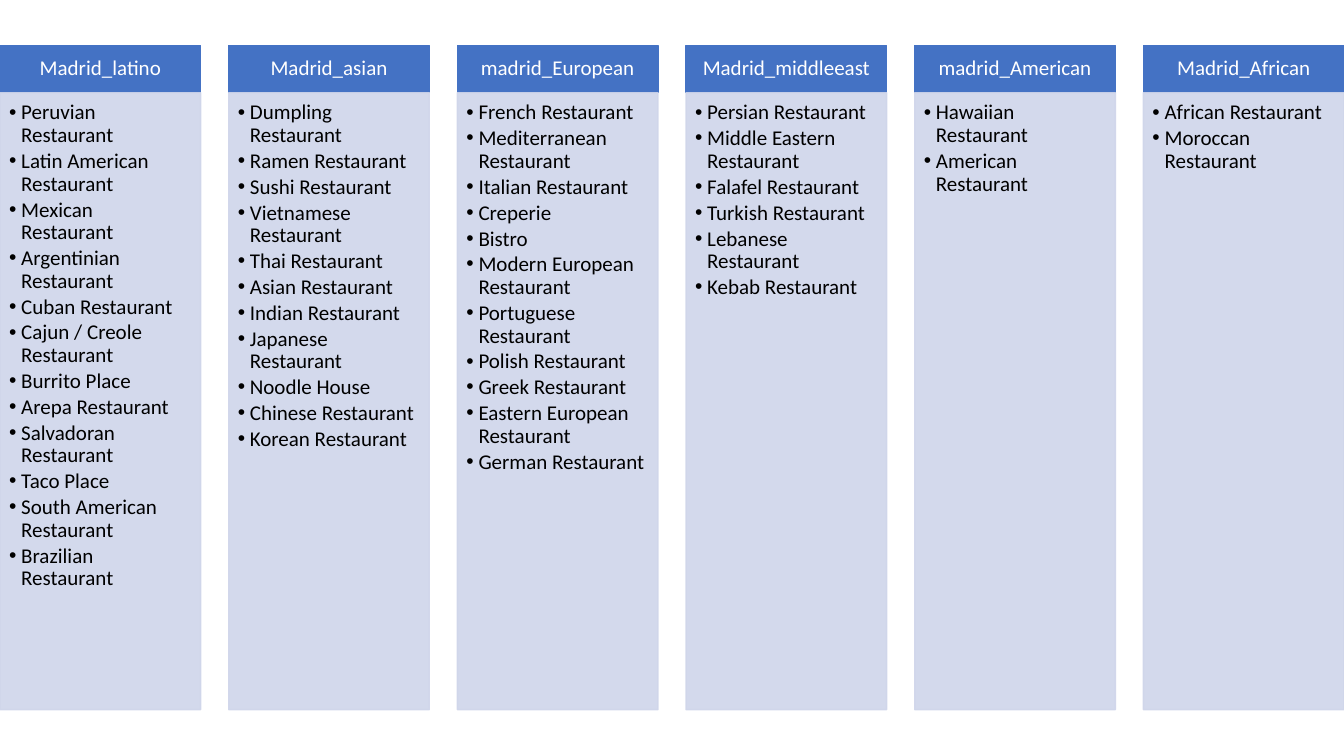
from dataclasses import dataclass

from lxml.etree import SubElement as Sub
from pptx import Presentation as Deck
from pptx.dml.color import RGBColor as Rgb
from pptx.enum.shapes import MSO_SHAPE as Form
from pptx.enum.text import MSO_ANCHOR as Anchor, PP_ALIGN as Align
from pptx.oxml.ns import qn
from pptx.shapes.autoshape import Shape
from pptx.slide import Slide
from pptx.util import Inches, Pt


@dataclass(frozen=True)
class Theme:
    font: str = "Calibri"
    size: float = 15
    head: str = "4472C4"
    panel: str = "CFD5EA"
    light: str = "FFFFFF"
    dark: str = "000000"
    alpha: int = 90


@dataclass(frozen=True)
class Box:
    left: float
    top: float
    width: float
    height: float


@dataclass(frozen=True)
class Column:
    title: str
    items: tuple[str, ...]


THEME = Theme()
WIDTH, HEIGHT = 13.33, 7.5
TOP, WIDE, HEAD, BODY = 0.45, 1.99, 0.47, 6.12
DENT = 0.12

COLUMNS = (
    Column("Madrid_latino", (
        "Peruvian Restaurant", "Latin American Restaurant",
        "Mexican Restaurant", "Argentinian Restaurant",
        "Cuban Restaurant", "Cajun / Creole Restaurant",
        "Burrito Place", "Arepa Restaurant", "Salvadoran Restaurant",
        "Taco Place", "South American Restaurant", "Brazilian Restaurant")),
    Column("Madrid_asian", (
        "Dumpling Restaurant", "Ramen Restaurant", "Sushi Restaurant",
        "Vietnamese Restaurant", "Thai Restaurant", "Asian Restaurant",
        "Indian Restaurant", "Japanese Restaurant", "Noodle House",
        "Chinese Restaurant", "Korean Restaurant")),
    Column("madrid_European", (
        "French Restaurant", "Mediterranean Restaurant",
        "Italian Restaurant", "Creperie", "Bistro",
        "Modern European Restaurant", "Portuguese Restaurant",
        "Polish Restaurant", "Greek Restaurant",
        "Eastern European Restaurant", "German Restaurant")),
    Column("Madrid_middleeast", (
        "Persian Restaurant", "Middle Eastern Restaurant",
        "Falafel Restaurant", "Turkish Restaurant",
        "Lebanese Restaurant", "Kebab Restaurant")),
    Column("madrid_American", ("Hawaiian Restaurant", "American Restaurant")),
    Column("Madrid_African", ("African Restaurant", "Moroccan Restaurant")),
)


def add_box(slide: Slide, box: Box, fill: str,
            pads: tuple[float, float, float, float], anchor: Anchor) -> Shape:
    shape = slide.shapes.add_shape(
        Form.RECTANGLE, Inches(box.left), Inches(box.top),
        Inches(box.width), Inches(box.height))
    shape.shadow.inherit = False
    shape.fill.solid()
    shape.fill.fore_color.rgb = Rgb.from_string(fill)
    shape.line.color.rgb = Rgb.from_string(fill)
    shape.line.width = Pt(1)
    frame = shape.text_frame
    frame.word_wrap = True
    frame.vertical_anchor = anchor
    (frame.margin_left, frame.margin_top,
     frame.margin_right, frame.margin_bottom) = map(Inches, pads)
    return shape


def add_text(shape: Shape, lines: tuple[str, ...], ink: str,
             align: Align, after: float, listed: bool) -> None:
    frame = shape.text_frame
    for spot, line in enumerate(lines):
        para = frame.add_paragraph() if spot else frame.paragraphs[0]
        para.alignment = align
        para.line_spacing = 0.9
        para.space_after = Pt(THEME.size * after)
        if listed:
            para.level = 1
            props = para._p.get_or_add_pPr()
            props.set("marL", str(Inches(DENT)))
            props.set("indent", str(-Inches(DENT)))
            Sub(props, qn("a:buFont"), typeface="Arial")
            Sub(props, qn("a:buChar"), char="•")
        run = para.add_run()
        run.text = line
        run.font.name = THEME.font
        run.font.size = Pt(THEME.size)
        run.font.color.rgb = Rgb.from_string(ink)


def fade(shape: Shape) -> None:
    for tint in shape._element.spPr.iter(qn("a:srgbClr")):
        Sub(tint, qn("a:alpha"), val=str(THEME.alpha * 1000))


def add_column(slide: Slide, column: Column, left: float) -> None:
    head = add_box(slide, Box(left, TOP, WIDE, HEAD), THEME.head,
                   (0.12, 0.07, 0.12, 0.07), Anchor.MIDDLE)
    add_text(head, (column.title,), THEME.light, Align.CENTER, 0.35, False)
    panel = add_box(slide, Box(left, TOP + HEAD, WIDE, BODY), THEME.panel,
                    (0.09, 0.09, 0.12, 0.13), Anchor.TOP)
    fade(panel)
    add_text(panel, column.items, THEME.dark, Align.LEFT, 0.15, True)


def main() -> None:
    deck = Deck()
    deck.slide_width = Inches(WIDTH)
    deck.slide_height = Inches(HEIGHT)
    slide = deck.slides.add_slide(deck.slide_layouts[6])
    pitch = (WIDTH - WIDE) / (len(COLUMNS) - 1)
    for spot, column in enumerate(COLUMNS):
        add_column(slide, column, spot * pitch)
    deck.save("out.pptx")


if __name__ == "__main__":
    main()
